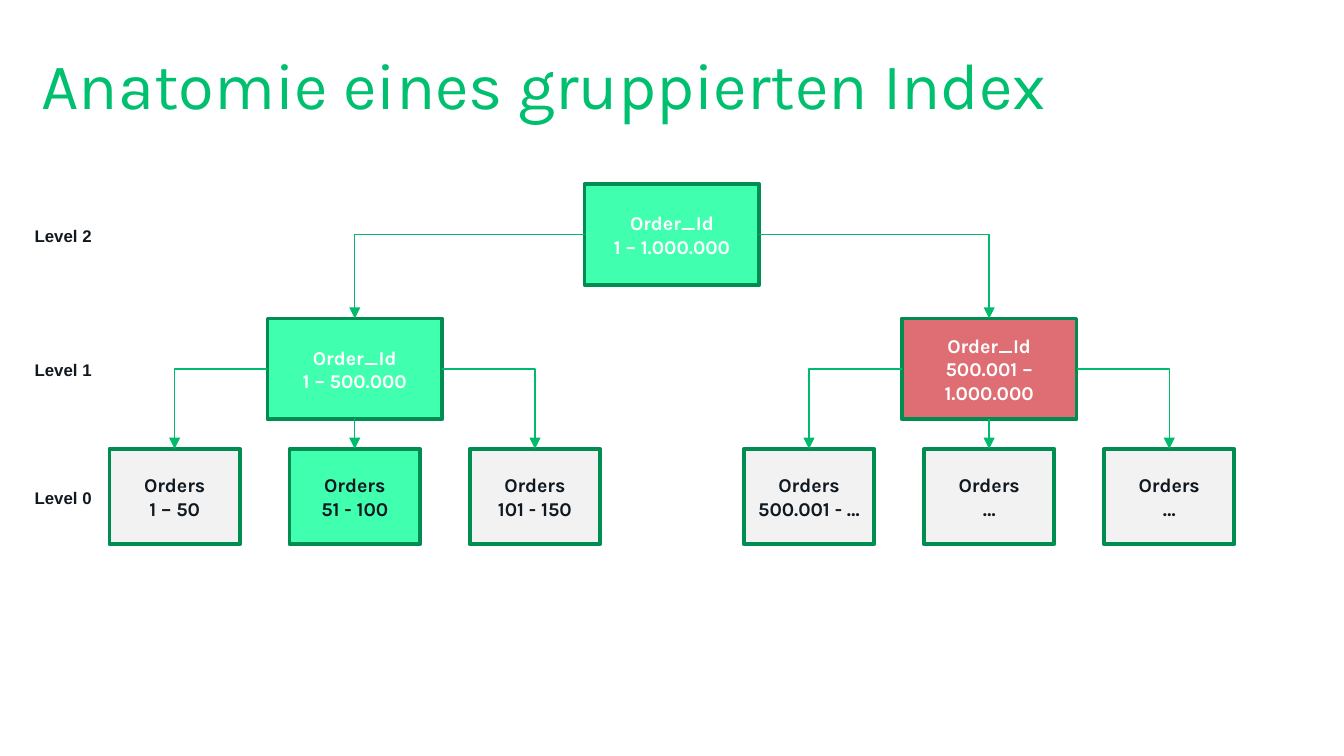
from lxml import etree
from pptx import Presentation
from pptx.dml.color import RGBColor
from pptx.enum.shapes import MSO_CONNECTOR, MSO_SHAPE
from pptx.enum.text import MSO_ANCHOR, PP_ALIGN
from pptx.oxml.ns import qn
from pptx.util import Inches, Pt

RECT = MSO_SHAPE.RECTANGLE
ELBOW, STRAIGHT = MSO_CONNECTOR.ELBOW, MSO_CONNECTOR.STRAIGHT
MIDDLE = MSO_ANCHOR.MIDDLE
LEFT, CENTER = PP_ALIGN.LEFT, PP_ALIGN.CENTER
TOP, WEST, BOTTOM, EAST = range(4)

WIDTH, HEIGHT = Inches(10), Inches(5.625)
COLS, ROWS = 100, 56.25

GREEN, MINT, RED, GRAY = "00BF6F", "40FFAF", "DF6E74", "F2F2F2"
EDGE, ARROW, WHITE, INK = "008D52", "00BB6D", "FFFFFF", "101820"

TITLE = {"name": "Karla", "size": Pt(34.9), "bold": False}
NODE = {"name": "Karla", "size": Pt(10.5), "bold": True}
LABEL = {"name": "Arial", "size": Pt(9), "bold": True}

BIG, SMALL = (13, 7.5), (9.7, 7.1)
MID, SPREAD, STEP = 50, 23.6, 13.4
ROOT_ROW, BRANCH_ROW, LEAF_ROW = 13.7, 23.7, 33.4

LEVELS = [("Level 2", 16.3), ("Level 1", 26.3), ("Level 0", 35.8)]
# Side, fill and range of each branch, then fill and range of its leaves
BRANCHES = [
    (-1, MINT, "1 – 500.000",
     [(GRAY, "1 – 50"), (MINT, "51 - 100"), (GRAY, "101 - 150")]),
    (1, RED, "500.001 – 1.000.000",
     [(GRAY, "500.001 - …"), (GRAY, "…"), (GRAY, "…")]),
]


def color(code):
    return RGBColor.from_string(code)


def col(n):
    return round(WIDTH * n / COLS)


def row(n):
    return round(HEIGHT * n / ROWS)


class Board:
    """Holds the current slide and draws on a grid of COLS by ROWS."""

    def __init__(self, slide):
        self.slide = slide
        self.shapes = slide.shapes

    def label(self, shape, lines, style, ink, align):
        """Fills a shape with one paragraph of broken lines."""
        frame = shape.text_frame
        frame.word_wrap = True
        frame.vertical_anchor = MIDDLE
        para = frame.paragraphs[0]
        para.alignment = align
        for i, line in enumerate(lines):
            if i:
                para.add_line_break()
            run = para.add_run()
            run.text = line
            for key, value in style.items():
                setattr(run.font, key, value)
            run.font.color.rgb = color(ink)

    def note(self, x, y, w, h, words, style, ink):
        """Adds a text box of one line."""
        box = self.shapes.add_textbox(col(x), row(y), col(w), row(h))
        self.label(box, [words], style, ink, LEFT)
        return box

    def title(self, words):
        frame = self.note(3.1, 3.1, 93.7, 6.2, words, TITLE, GREEN).text_frame
        for side in ("left", "top", "right", "bottom"):
            setattr(frame, f"margin_{side}", 0)

    def node(self, mid, y, size, fill, lines, ink):
        """Draws a box centred on column mid."""
        w, h = size
        box = self.shapes.add_shape(
            RECT, col(mid - w / 2), row(y), col(w), row(h))
        box.shadow.inherit = False
        box.fill.solid()
        box.fill.fore_color.rgb = color(fill)
        box.line.color.rgb = color(EDGE)
        box.line.width = Pt(2)
        self.label(box, lines, NODE, ink, CENTER)
        return box

    def link(self, parent, child, side):
        """Joins a parent's side to a child's top: -1 left, 0 below, 1 right."""
        kind = ELBOW if side else STRAIGHT
        line = self.shapes.add_connector(kind, 0, 0, 0, 0)
        line.begin_connect(parent, {-1: WEST, 0: BOTTOM, 1: EAST}[side])
        line.end_connect(child, TOP)
        line.line.color.rgb = color(ARROW)
        line.line.width = Pt(0.75)
        props = line._element.spPr
        if side:
            props.find(qn("a:prstGeom")).set("prst", "bentConnector2")
        etree.SubElement(props.find(qn("a:ln")), qn("a:tailEnd"),
                         type="triangle")
        etree.SubElement(props, qn("a:effectLst"))


def main():
    deck = Presentation()
    deck.slide_width, deck.slide_height = WIDTH, HEIGHT
    board = Board(deck.slides.add_slide(deck.slide_layouts[6]))

    board.title("Anatomie eines gruppierten Index")
    for words, y in LEVELS:
        board.note(1.6, y, 6.6, 2.5, words, LABEL, INK)

    root = board.node(MID, ROOT_ROW, BIG, MINT,
                      ["Order_Id", "1 – 1.000.000"], WHITE)
    for side, fill, span, leaves in BRANCHES:
        mid = MID + side * SPREAD
        branch = board.node(mid, BRANCH_ROW, BIG, fill,
                            ["Order_Id", span], WHITE)
        board.link(root, branch, side)
        for place, (shade, part) in enumerate(leaves, -1):
            leaf = board.node(mid + place * STEP, LEAF_ROW, SMALL, shade,
                              ["Orders", part], INK)
            board.link(branch, leaf, place)

    deck.save("out.pptx")


if __name__ == "__main__":
    main()
